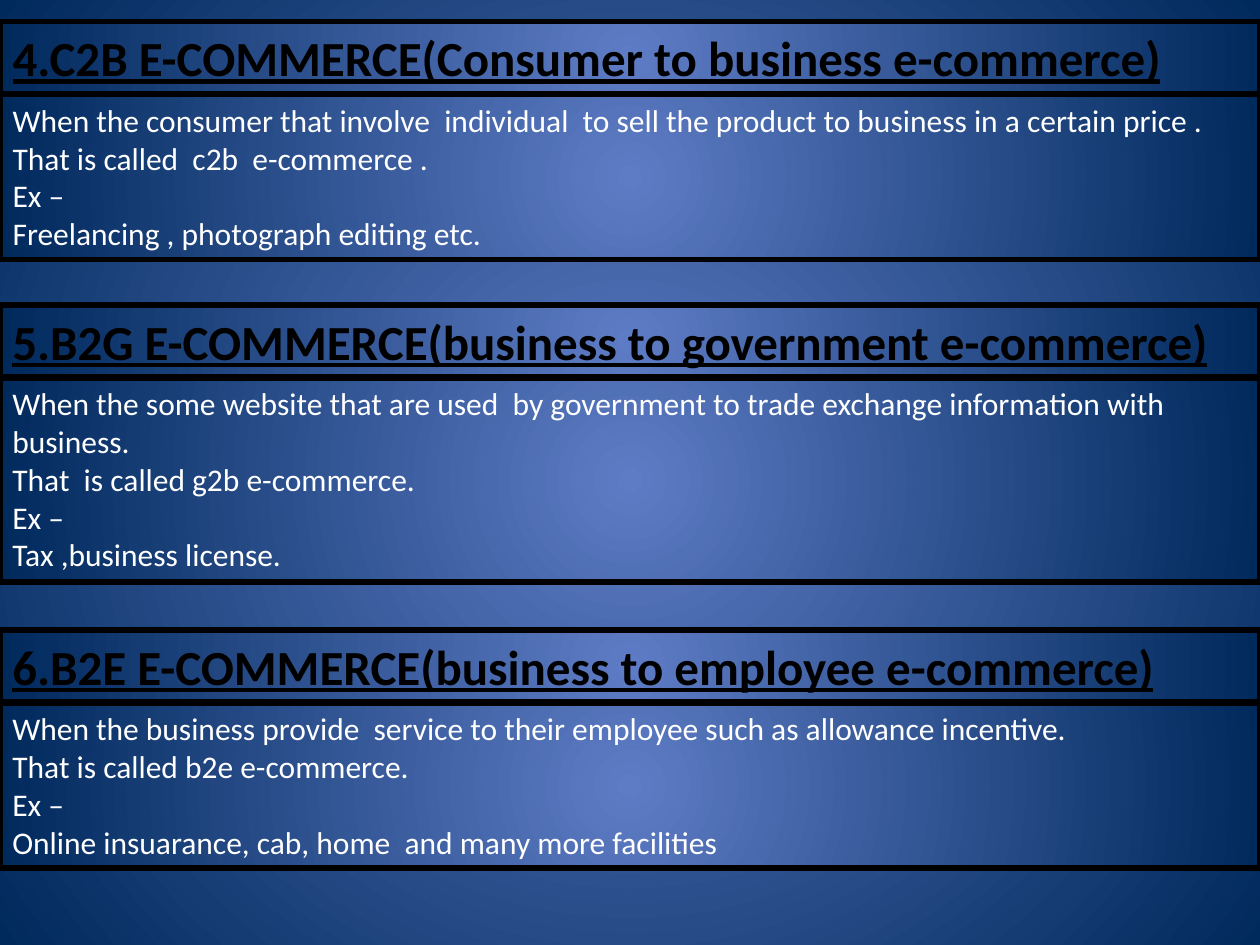
"""Build a slide that explains three kinds of e-commerce in framed heading and text bands."""
from dataclasses import dataclass

from pptx import Presentation
from pptx.dml.color import RGBColor
from pptx.dml.fill import FillFormat
from pptx.enum.text import MSO_ANCHOR, MSO_AUTO_SIZE, PP_ALIGN
from pptx.oxml import parse_xml
from pptx.oxml.ns import nsdecls, qn
from pptx.oxml.xmlchemy import BaseOxmlElement as Element
from pptx.shapes.autoshape import Shape
from pptx.slide import Slide
from pptx.util import Inches, Pt


@dataclass(frozen=True)
class Theme:
    font: str = "Calibri"
    glow: RGBColor = RGBColor(0x5E, 0x7C, 0xC5)
    navy: RGBColor = RGBColor(0x00, 0x29, 0x5C)
    black: RGBColor = RGBColor(0, 0, 0)
    white: RGBColor = RGBColor(255, 255, 255)
    heading_size: int = 28
    details_size: int = 18
    border: int = 3


@dataclass(frozen=True)
class Section:
    top: float
    details_height: float
    heading: str
    details: tuple[str, ...]


THEME = Theme()
HEADING_HEIGHT = 0.57
HEADING_STEP = 0.58
SECTIONS = (
    Section(0.17, 1.31, "4.C2B E-COMMERCE(Consumer to business e-commerce)", (
        "When the consumer that involve  individual  to sell the product to business in a certain price .",
        "That is called  c2b  e-commerce .",
        "Ex –",
        "Freelancing , photograph editing etc.",
    )),
    Section(2.42, 1.62, "5.B2G E-COMMERCE(business to government e-commerce)", (
        "When the some website that are used  by government to trade exchange information with business.",
        "That  is called g2b e-commerce.",
        "Ex –",
        "Tax ,business license.",
    )),
    Section(5, 1.31, "6.B2E E-COMMERCE(business to employee e-commerce)", (
        "When the business provide  service to their employee such as allowance incentive.",
        "That is called b2e e-commerce.",
        "Ex –",
        "Online insuarance, cab, home  and many more facilities ",
    )),
)


def paint_glow(fill: FillFormat, owner: Element) -> None:
    """Fill with a circular gradient that is brightest in the centre."""
    fill.gradient()
    for stop, colour in zip(fill.gradient_stops, (THEME.glow, THEME.navy)):
        stop.color.rgb = colour
    gradient = owner.find(".//" + qn("a:gradFill"))
    gradient.replace(gradient.find(qn("a:lin")), parse_xml(
        f'<a:path {nsdecls("a")} path="circle">'
        '<a:fillToRect l="50000" t="50000" r="50000" b="50000"/></a:path>'))


def frame_band(band: Shape, top: float, height: float) -> None:
    """Place a full-width band with a glowing fill and a black border."""
    band.left, band.top = Inches(0), Inches(top)
    band.width, band.height = Inches(10), Inches(height)
    paint_glow(band.fill, band._element)
    band.line.color.rgb = THEME.black
    band.line.width = Pt(THEME.border)


def write_band(band: Shape, lines: tuple[str, ...], is_heading: bool) -> None:
    """Write left-aligned lines without bullets; placeholders keep their fixed height."""
    frame = band.text_frame
    frame.text = "\n".join(lines)
    frame.word_wrap = True
    frame.auto_size = (MSO_AUTO_SIZE.NONE if band.is_placeholder
                       else MSO_AUTO_SIZE.SHAPE_TO_FIT_TEXT)
    frame.vertical_anchor = MSO_ANCHOR.TOP
    for paragraph in frame.paragraphs:
        paragraph.alignment = PP_ALIGN.LEFT
        paragraph.space_before = Pt(0)
        properties = paragraph._p.get_or_add_pPr()
        properties.set("marL", "0")
        properties.set("indent", "0")
        properties.append(parse_xml(f'<a:buNone {nsdecls("a")}/>'))
        for run in paragraph.runs:
            run.font.name = THEME.font
            run.font.size = Pt(THEME.heading_size if is_heading else THEME.details_size)
            run.font.color.rgb = THEME.black if is_heading else THEME.white
            run.font.bold = run.font.underline = is_heading


def draw_section(section: Section, heading: Shape, details: Shape) -> None:
    """Draw one heading band with its details band beneath."""
    frame_band(heading, section.top, HEADING_HEIGHT)
    write_band(heading, (section.heading,), True)
    frame_band(details, section.top + HEADING_STEP, section.details_height)
    write_band(details, section.details, False)


def add_band(slide: Slide) -> Shape:
    """Add an empty text box to be framed later."""
    return slide.shapes.add_textbox(0, 0, Inches(10), Inches(1))


def main() -> None:
    """Build and save the slide."""
    deck = Presentation()
    deck.slide_width, deck.slide_height = Inches(10), Inches(7.5)
    slide = deck.slides.add_slide(deck.slide_layouts[1])
    paint_glow(slide.background.fill, slide._element)
    first, *others = SECTIONS
    draw_section(first, slide.shapes.title, slide.placeholders[1])
    for section in others:
        draw_section(section, add_band(slide), add_band(slide))
    deck.save("out.pptx")


main()
